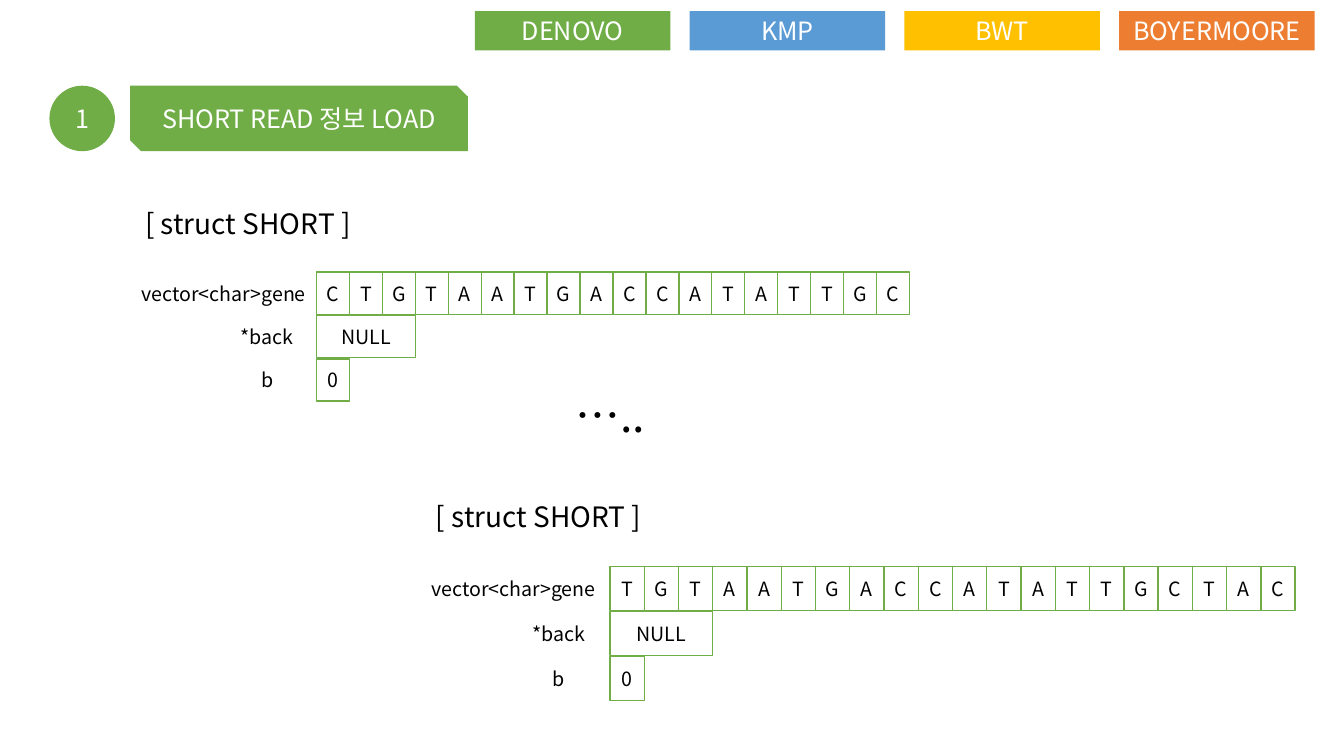
from pptx import Presentation
from pptx import util as u
from pptx.dml.color import RGBColor
from pptx.enum import shapes, text
from pptx.oxml.ns import qn
from lxml import etree

GREEN = RGBColor(0x70, 0xAD, 0x47)
BLUE = RGBColor(0x5B, 0x9B, 0xD5)
GOLD = RGBColor(0xFF, 0xC0, 0x00)
ORANGE = RGBColor(0xED, 0x7D, 0x31)
WHITE = RGBColor(0xFF, 0xFF, 0xFF)
BLACK = RGBColor(0x00, 0x00, 0x00)
KIND = shapes.MSO_SHAPE


class Deck:
    font = "Noto Sans CJK KR"

    def __init__(self, slide):
        self.slide = slide

    def label(self, shape, words, size, color):
        frame = shape.text_frame
        frame.text = words
        frame.word_wrap = True
        frame.vertical_anchor = text.MSO_ANCHOR.MIDDLE
        frame.margin_left = frame.margin_right = 0
        frame.margin_top = frame.margin_bottom = 0
        line = frame.paragraphs[0]
        line.alignment = text.PP_ALIGN.CENTER
        for run in line.runs:
            run.font.size = u.Pt(size)
            run.font.name = self.font
            run.font.color.rgb = color
            east = etree.SubElement(run.font._element, qn("a:ea"))
            east.set("typeface", self.font)

    def block(self, box, words, fill, size=18, color=WHITE,
              kind=KIND.RECTANGLE, edge=None, home=None):
        home = home or self.slide
        shape = home.shapes.add_shape(kind, *map(u.Inches, box))
        shape.shadow.inherit = False
        shape.fill.solid()
        shape.fill.fore_color.rgb = fill
        if edge:
            shape.line.color.rgb = edge
            shape.line.width = u.Pt(1)
        else:
            shape.line.fill.background()
        self.label(shape, words, size, color)

    def note(self, box, words, size):
        shape = self.slide.shapes.add_textbox(*map(u.Inches, box))
        self.label(shape, words, size, BLACK)

    def struct(self, left, top, scale, gene):
        group = self.slide.shapes.add_group_shape()
        wide, high, step = 0.98, 0.42, 0.43
        cell = wide / 3

        def part(x, y, w, h, words, size=14, edge=None):
            box = (left + x * scale, top + y * scale, w * scale, h * scale)
            self.block(box, words, WHITE, size, BLACK, edge=edge, home=group)

        part(-2, -0.75, 2.64, 0.54, "[ struct SHORT ]", 20)
        fields = [("vector<char>gene", 1.84), ("*back", wide), ("b", wide)]
        for row, (name, width) in enumerate(fields):
            part(-width, row * step, width, high, name)
        part(0, step, wide, high, "NULL", edge=GREEN)
        part(0, 2 * step, cell, high, "0", edge=GREEN)
        for col, base in enumerate(gene):
            part(col * cell, 0, cell, high, base, edge=GREEN)


def main():
    show = Presentation()
    show.slide_width, show.slide_height = u.Inches(13.33), u.Inches(7.5)
    deck = Deck(show.slides.add_slide(show.slide_layouts[6]))

    deck.block((0.49, 0.85, 0.65, 0.65), "1", GREEN, kind=KIND.OVAL)
    deck.block((1.29, 0.85, 3.35, 0.65), "SHORT READ 정보 LOAD", GREEN,
               kind=KIND.SNIP_2_DIAG_RECTANGLE)
    deck.struct(3.14, 2.7, 1, "CTGTAATGACCATATTGC")
    deck.note((3.9, 3.83, 4.31, 0.57), "…..", 32)
    deck.struct(6.05, 5.62, 1.04, "TGTAATGACCATATTGCTAC")

    tabs = [("DENOVO", GREEN), ("KMP", BLUE), ("BWT", GOLD),
            ("BOYERMOORE", ORANGE)]
    for col, (name, fill) in enumerate(tabs):
        deck.block((4.71 + col * 2.13, 0.11, 1.94, 0.39), name, fill)

    show.save("out.pptx")


if __name__ == "__main__":
    main()
